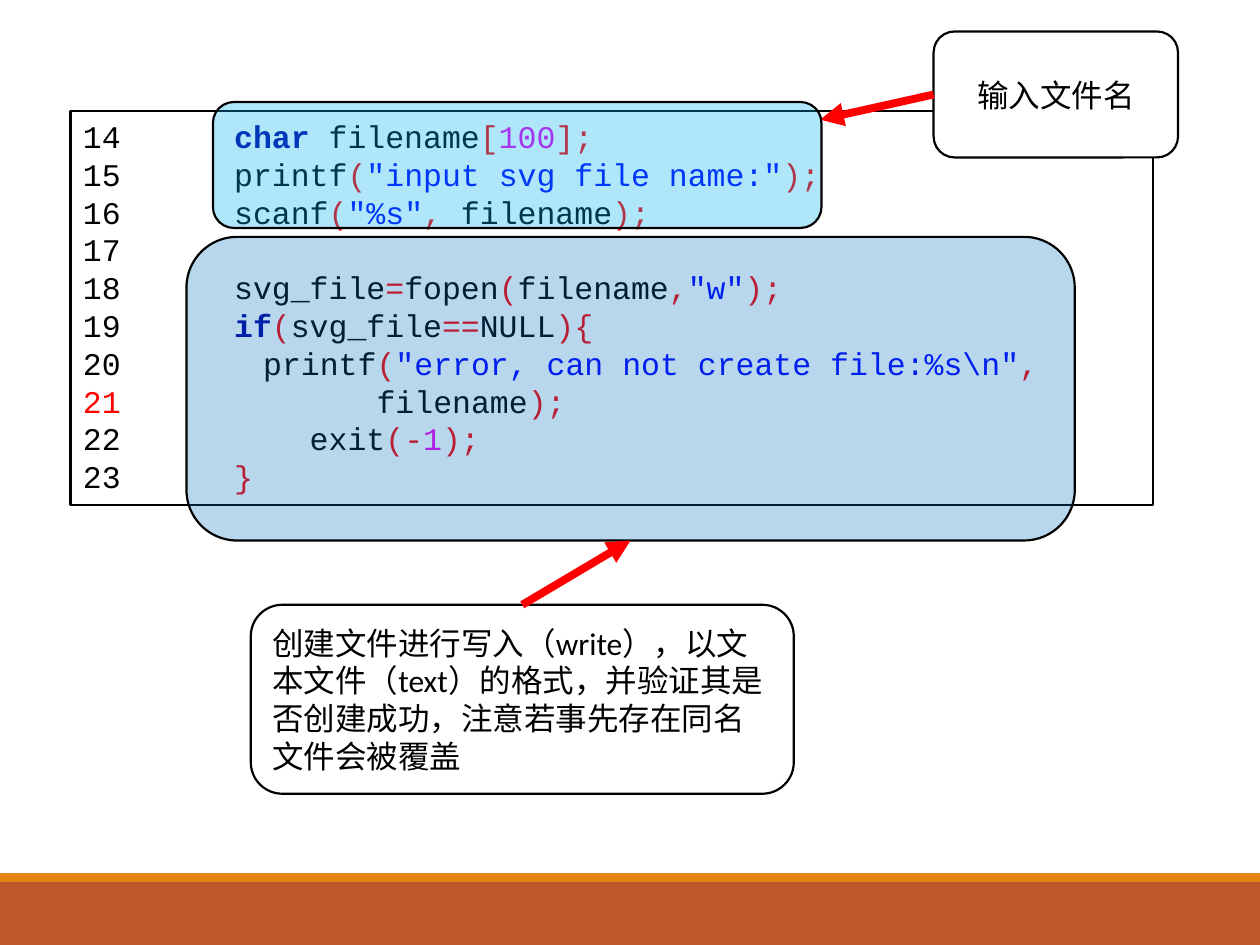
from dataclasses import dataclass

import lxml.etree
import pptx
import pptx.dml.color
import pptx.enum.shapes
import pptx.enum.text
import pptx.oxml.ns
import pptx.util

Inches = pptx.util.Inches
Pt = pptx.util.Pt
qn = pptx.oxml.ns.qn
SHAPES = pptx.enum.shapes.MSO_SHAPE
ALIGN = pptx.enum.text.PP_ALIGN
ANCHOR = pptx.enum.text.MSO_ANCHOR

COLORS = {
    "plain": "000000",
    "keyword": "0000A0",
    "mark": "FF0000",
    "string": "0000FF",
    "number": "F000F0",
    "paper": "FFFFFF",
    "outline": "000000",
    "arrow": "FF0000",
    "input": "00B0F0",
    "create": "0070C0",
    "footer": "BD582C",
    "footer_edge": "E48312",
}


@dataclass
class Box:
    left: float
    top: float
    width: float
    height: float
    fill: str
    opacity: int = 100
    outlined: bool = True
    preset: int = SHAPES.FLOWCHART_ALTERNATE_PROCESS


@dataclass
class CodeLine:
    tokens: list[tuple[str, str]]
    auto_numbered: bool = False


FOOTER = [
    Box(0, 7, 10, 0.5, "footer", outlined=False, preset=SHAPES.RECTANGLE),
    Box(0, 6.93, 10, 0.07, "footer_edge", outlined=False, preset=SHAPES.RECTANGLE),
]
LISTING = Box(0.56, 0.88, 8.59, 3.13, "paper", preset=SHAPES.RECTANGLE)
INPUT_NOTE = Box(7.41, 0.25, 1.94, 1, "paper")
INPUT_REGION = Box(1.69, 0.81, 4.83, 1, "input", 31)
CREATE_NOTE = Box(1.99, 4.8, 4.31, 1.5, "paper")
CREATE_REGION = Box(1.48, 1.88, 7.05, 2.41, "create", 28)

CODE = [
    CodeLine([("plain", "14      "), ("keyword", "char "), ("plain", "filename"),
              ("mark", "["), ("number", "100"), ("mark", "];")]),
    CodeLine([("plain", "15      printf"), ("mark", "("),
              ("string", '"input svg file name:"'), ("mark", ");")]),
    CodeLine([("plain", "16      scanf"), ("mark", "("), ("string", '"%s"'),
              ("mark", ", "), ("plain", "filename"), ("mark", ");")]),
    CodeLine([("plain", "17")]),
    CodeLine([("plain", "18      svg_file"), ("mark", "="), ("plain", "fopen"),
              ("mark", "("), ("plain", "filename"), ("mark", ","),
              ("string", '"w"'), ("mark", ");")]),
    CodeLine([("plain", "19      "), ("keyword", "if"), ("mark", "("),
              ("plain", "svg_file"), ("mark", "=="), ("plain", "NULL"),
              ("mark", "){")]),
    CodeLine([("plain", "       printf"), ("mark", "("),
              ("string", r'"error, can not create file:%s\n"'), ("mark", ",")], True),
    CodeLine([("mark", "             "), ("plain", "filename"), ("mark", ");")], True),
    CodeLine([("plain", "22          exit"), ("mark", "(-"), ("number", "1"),
              ("mark", ");")]),
    CodeLine([("plain", "23      "), ("mark", "}")]),
]


def rgb(name: str) -> pptx.dml.color.RGBColor:
    return pptx.dml.color.RGBColor.from_string(COLORS[name])


def add_box(slide, box: Box):
    shape = slide.shapes.add_shape(
        box.preset, Inches(box.left), Inches(box.top),
        Inches(box.width), Inches(box.height))
    shape.shadow.inherit = False
    shape.fill.solid()
    shape.fill.fore_color.rgb = rgb(box.fill)
    if box.opacity < 100:
        color = shape.fill._xPr.find(f".//{qn('a:srgbClr')}")
        lxml.etree.SubElement(color, qn("a:alpha"), val=str(box.opacity * 1000))
    if box.outlined:
        shape.line.color.rgb = rgb("outline")
        shape.line.width = Pt(1.25)
    else:
        shape.line.fill.background()
    return shape


def add_note(slide, box: Box, text: str, align: int):
    note = add_box(slide, box)
    frame = note.text_frame
    frame.word_wrap = True
    frame.vertical_anchor = ANCHOR.MIDDLE
    paragraph = frame.paragraphs[0]
    paragraph.text = text
    paragraph.alignment = align
    paragraph.font.name = "Calibri"
    paragraph.font.size = Pt(18)
    paragraph.font.color.rgb = rgb("plain")
    return note


def add_arrow(slide, start: tuple[float, float], end: tuple[float, float]):
    arrow = slide.shapes.add_connector(
        pptx.enum.shapes.MSO_CONNECTOR.STRAIGHT,
        *(Inches(value) for value in start + end))
    arrow.line.color.rgb = rgb("arrow")
    arrow.line.width = Pt(4.5)
    lxml.etree.SubElement(arrow.line._get_or_add_ln(), qn("a:tailEnd"), type="triangle")
    lxml.etree.SubElement(arrow._element.spPr, qn("a:effectLst"))
    return arrow


def number_paragraph(paragraph, start: int) -> None:
    """Give the paragraph an automatic line number with a hanging indent."""
    properties = paragraph._p.get_or_add_pPr()
    properties.set("marL", str(Inches(0.38)))
    properties.set("indent", str(Inches(-0.38)))
    numbering = lxml.etree.Element(
        qn("a:buAutoNum"), type="arabicPlain", startAt=str(start))
    properties.insert(0, numbering)


def add_listing(slide, box: Box, lines: list[CodeLine]) -> None:
    frame = add_box(slide, box).text_frame
    frame.word_wrap = True
    frame.vertical_anchor = ANCHOR.TOP
    for index, line in enumerate(lines):
        paragraph = frame.add_paragraph() if index else frame.paragraphs[0]
        paragraph.alignment = ALIGN.LEFT
        paragraph.font.name = "Courier New"
        paragraph.font.size = Pt(18)
        if line.auto_numbered:
            number_paragraph(paragraph, 20)
        for kind, text in line.tokens:
            run = paragraph.add_run()
            run.text = text
            run.font.color.rgb = rgb(kind)
            run.font.bold = kind == "keyword"


def main() -> None:
    deck = pptx.Presentation()
    deck.slide_width, deck.slide_height = Inches(10), Inches(7.5)
    slide = deck.slides.add_slide(deck.slide_layouts[6])

    for band in FOOTER:
        add_box(slide, band)
    add_listing(slide, LISTING, CODE)

    input_note = add_note(slide, INPUT_NOTE, "输入文件名", ALIGN.CENTER)
    input_arrow = add_arrow(slide, (7.41, 0.75), (6.51, 0.95))
    input_arrow.begin_connect(input_note, 1)
    add_box(slide, INPUT_REGION)

    create_note = add_note(
        slide, CREATE_NOTE,
        "创建文件进行写入（write），以文本文件（text）的格式，"
        "并验证其是否创建成功，注意若事先存在同名文件会被覆盖", ALIGN.LEFT)
    create_region = add_box(slide, CREATE_REGION)
    create_arrow = add_arrow(slide, (4.14, 4.8), (5, 4.29))
    create_arrow.begin_connect(create_note, 0)
    create_arrow.end_connect(create_region, 2)

    deck.save("out.pptx")


if __name__ == "__main__":
    main()
